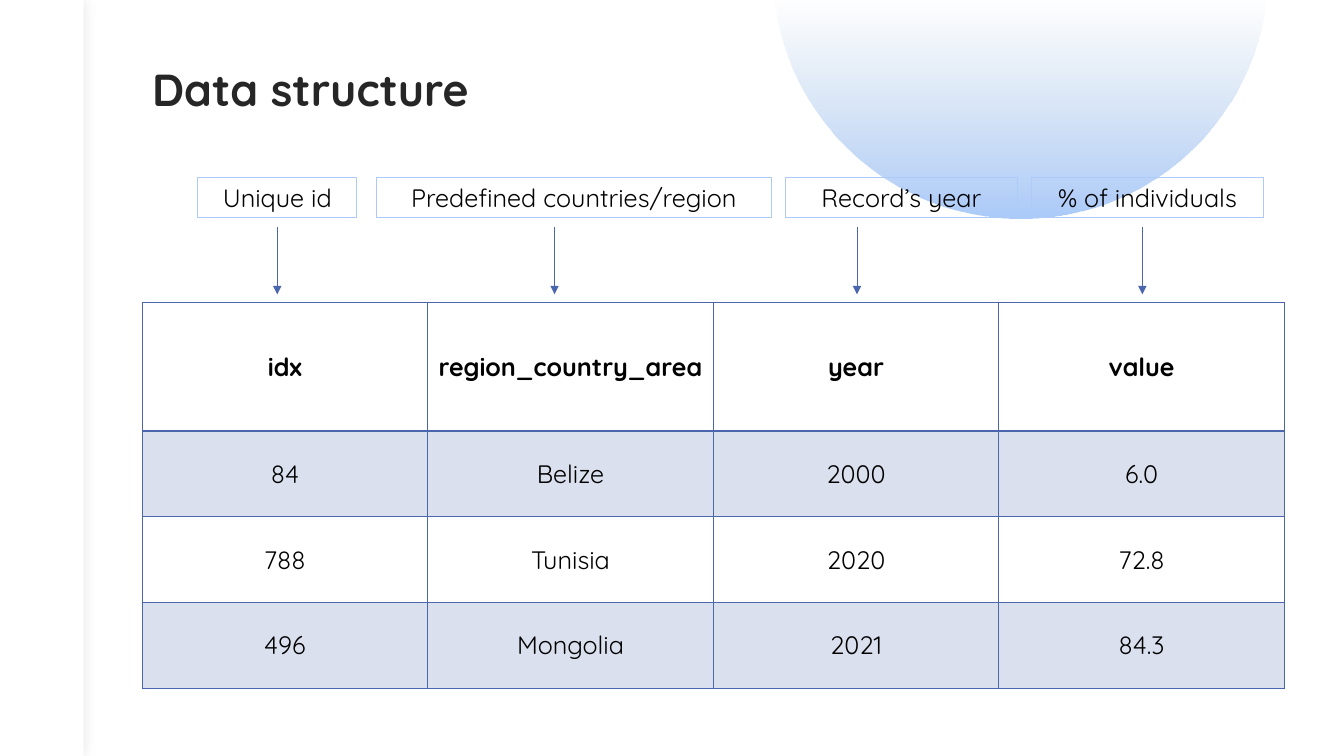
from math import asin, cos, pi, sin

from lxml.etree import SubElement
from pptx import Presentation
from pptx.dml.color import RGBColor
from pptx.enum.shapes import MSO_CONNECTOR, MSO_SHAPE
from pptx.enum.text import MSO_ANCHOR, PP_ALIGN
from pptx.oxml.ns import qn
from pptx.util import Inches, Pt

COLORS = {
    "white": "FFFFFF",
    "black": "000000",
    "title": "262626",
    "blue": "4A66AC",
    "sky": "ACCBF9",
    "mist": "B4CCE7",
}
FONT = "Quicksand"
RECORDS = [
    ["idx", "region_country_area", "year", "value"],
    ["84", "Belize", "2000", "6.0"],
    ["788", "Tunisia", "2020", "72.8"],
    ["496", "Mongolia", "2021", "84.3"],
]
LABELS = [
    ("Unique id", 1.96, 1.58, 2.75),
    ("Predefined countries/region", 3.73, 3.92, 5.5),
    ("Record’s year", 7.79, 2.3, 8.5),
    ("% of individuals", 10.23, 2.3, 11.33),
]


def rgb(name):
    """Return the named colour."""
    return RGBColor.from_string(COLORS[name])


def add_alpha(parent, percent):
    """Make the colour inside an XML element partly transparent."""
    color = next(parent.iter(qn("a:srgbClr")))
    SubElement(color, qn("a:alpha"), val=str(percent * 1000))


def style_text(frame, size, color, bold=False, align=PP_ALIGN.CENTER):
    """Format the only paragraph of a text frame."""
    paragraph = frame.paragraphs[0]
    paragraph.alignment = align
    font = paragraph.runs[0].font
    font.name, font.size, font.bold = FONT, Pt(size), bold
    font.color.rgb = rgb(color)


def add_dome(slide, left, top, width, height):
    """Draw the fading circle segment that hangs from the top edge."""
    radius = ((width / 2) ** 2 + height ** 2) / (2 * height)
    center_x, center_y = left + width / 2, top + height - radius
    start = asin((top - center_y) / radius)
    steps = 120
    angles = [start + (pi - 2 * start) * i / steps for i in range(steps + 1)]
    arc = [(Inches(center_x + radius * cos(a)), Inches(center_y + radius * sin(a)))
           for a in angles]
    builder = slide.shapes.build_freeform(*arc[0])
    builder.add_line_segments(arc[1:], close=True)
    dome = builder.convert_to_shape()
    dome.shadow.inherit = False
    dome.line.fill.background()
    dome.fill.gradient()
    dome.fill.gradient_angle = 270
    stops = dome.fill.gradient_stops
    for stop, color, position in zip(stops, ("mist", "sky"), (0, 1)):
        stop.color.rgb = rgb(color)
        stop.position = position
    add_alpha(next(dome.element.iter(qn("a:gs"))), 0)


def add_rail(slide, left, top, width, height):
    """Draw the white side rail with its soft shadow."""
    rail = slide.shapes.add_shape(
        MSO_SHAPE.RECTANGLE, Inches(left), Inches(top), Inches(width), Inches(height))
    rail.shadow.inherit = False
    rail.fill.solid()
    rail.fill.fore_color.rgb = rgb("white")
    rail.line.fill.background()
    effects = rail.element.spPr.find(qn("a:effectLst"))
    shadow = SubElement(effects, qn("a:outerShdw"), blurRad=str(Pt(10)), dist="0",
                        dir="0", algn="ctr", rotWithShape="0")
    SubElement(shadow, qn("a:srgbClr"), val=COLORS["black"])
    add_alpha(shadow, 10)


def add_title(slide, left, top, width, height):
    """Write the slide title."""
    frame = slide.shapes.add_textbox(
        Inches(left), Inches(top), Inches(width), Inches(height)).text_frame
    frame.word_wrap = True
    frame.text = "Data structure"
    frame.paragraphs[0].line_spacing = 0.8
    style_text(frame, 32, "title", True, PP_ALIGN.LEFT)


def add_border(cell, side, points):
    """Draw one border of a table cell."""
    line = SubElement(cell._tc.get_or_add_tcPr(), qn(f"a:ln{side}"), w=str(Pt(points)))
    fill = SubElement(line, qn("a:solidFill"))
    SubElement(fill, qn("a:srgbClr"), val=COLORS["blue"])


def add_records(slide, left, top, width, height):
    """Build the table of sample records, with a header half as tall again."""
    table = slide.shapes.add_table(
        len(RECORDS), len(RECORDS[0]),
        Inches(left), Inches(top), Inches(width), Inches(height)).table
    row_height = height / (len(RECORDS) + 0.5)
    for r, record in enumerate(RECORDS):
        table.rows[r].height = Inches(row_height * (1 if r else 1.5))
        for c, value in enumerate(record):
            cell = table.cell(r, c)
            cell.text = value
            cell.vertical_anchor = MSO_ANCHOR.MIDDLE
            cell.margin_left = cell.margin_right = Inches(0.07)
            cell.margin_top = cell.margin_bottom = Inches(0.03)
            style_text(cell.text_frame, 18, "black", r == 0)
            for side in "LRTB":
                thick = (r, side) in ((0, "B"), (1, "T"))
                add_border(cell, side, 2 if thick else 1)
            if r % 2:
                cell.fill.solid()
                cell.fill.fore_color.rgb = rgb("blue")
                add_alpha(cell._tc.tcPr.find(qn("a:solidFill")), 20)
            else:
                cell.fill.background()


def add_label(slide, text, left, top, width, arrow_x):
    """Draw a column label and the arrow below it."""
    arrow = slide.shapes.add_connector(
        MSO_CONNECTOR.STRAIGHT, Inches(arrow_x), Inches(top + 0.49),
        Inches(arrow_x), Inches(top + 1.16))
    arrow.line.color.rgb = rgb("blue")
    arrow.line.width = Pt(0.5)
    SubElement(arrow.line._get_or_add_ln(), qn("a:tailEnd"), type="triangle")
    SubElement(arrow._element.spPr, qn("a:effectLst"))

    label = slide.shapes.add_shape(
        MSO_SHAPE.RECTANGLE, Inches(left), Inches(top), Inches(width), Inches(0.4))
    label.shadow.inherit = False
    label.fill.background()
    label.line.color.rgb = rgb("sky")
    label.line.width = Pt(0.75)
    label.text_frame.word_wrap = True
    label.text_frame.vertical_anchor = MSO_ANCHOR.MIDDLE
    label.text_frame.text = text
    style_text(label.text_frame, 18, "black")


def main():
    """Build and save the slide."""
    deck = Presentation()
    deck.slide_width, deck.slide_height = Inches(13.33), Inches(7.5)
    slide = deck.slides.add_slide(deck.slide_layouts[6])
    add_dome(slide, 7.68, 0, 4.88, 2.17)
    add_rail(slide, 0, 0, 0.83, 7.5)
    add_title(slide, 1.41, 0.67, 5.38, 1.58)
    add_records(slide, 1.41, 3, 11.33, 3.83)
    for text, left, width, arrow_x in LABELS:
        add_label(slide, text, left, 1.76, width, arrow_x)
    deck.save("out.pptx")


if __name__ == "__main__":
    main()
